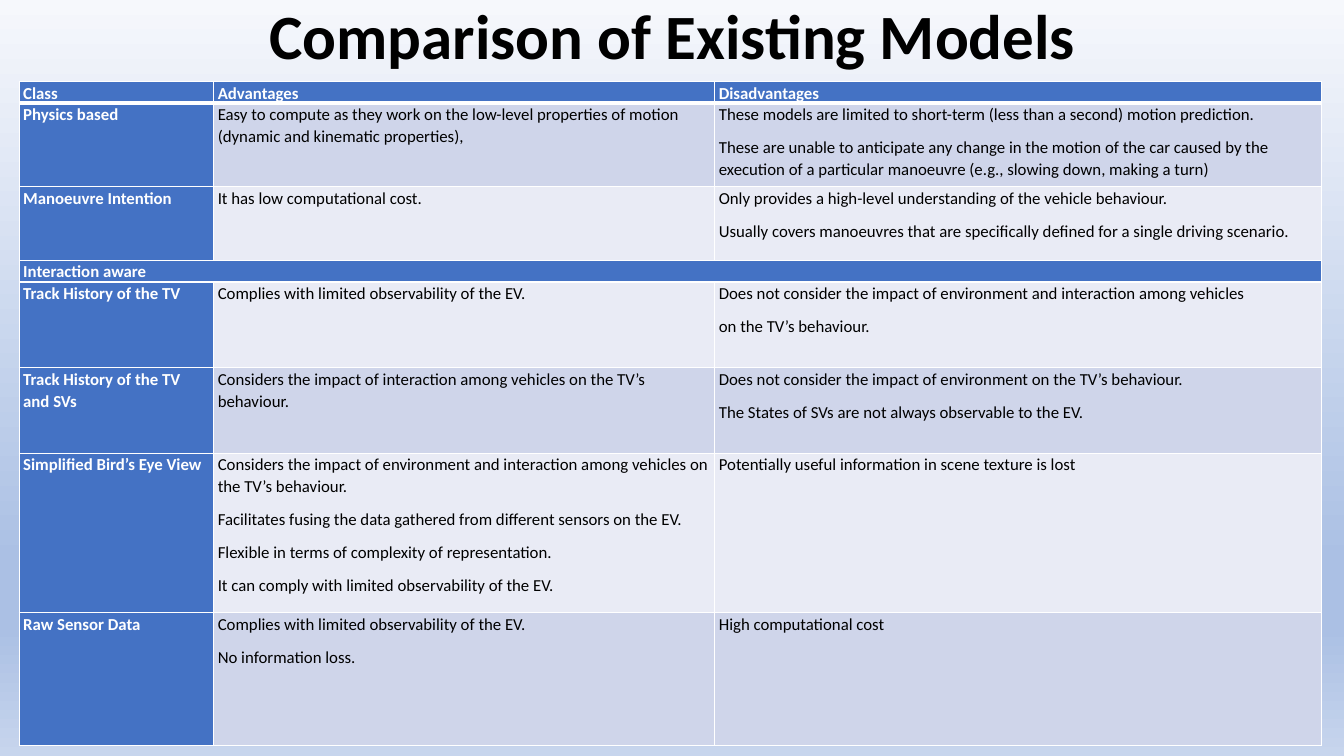
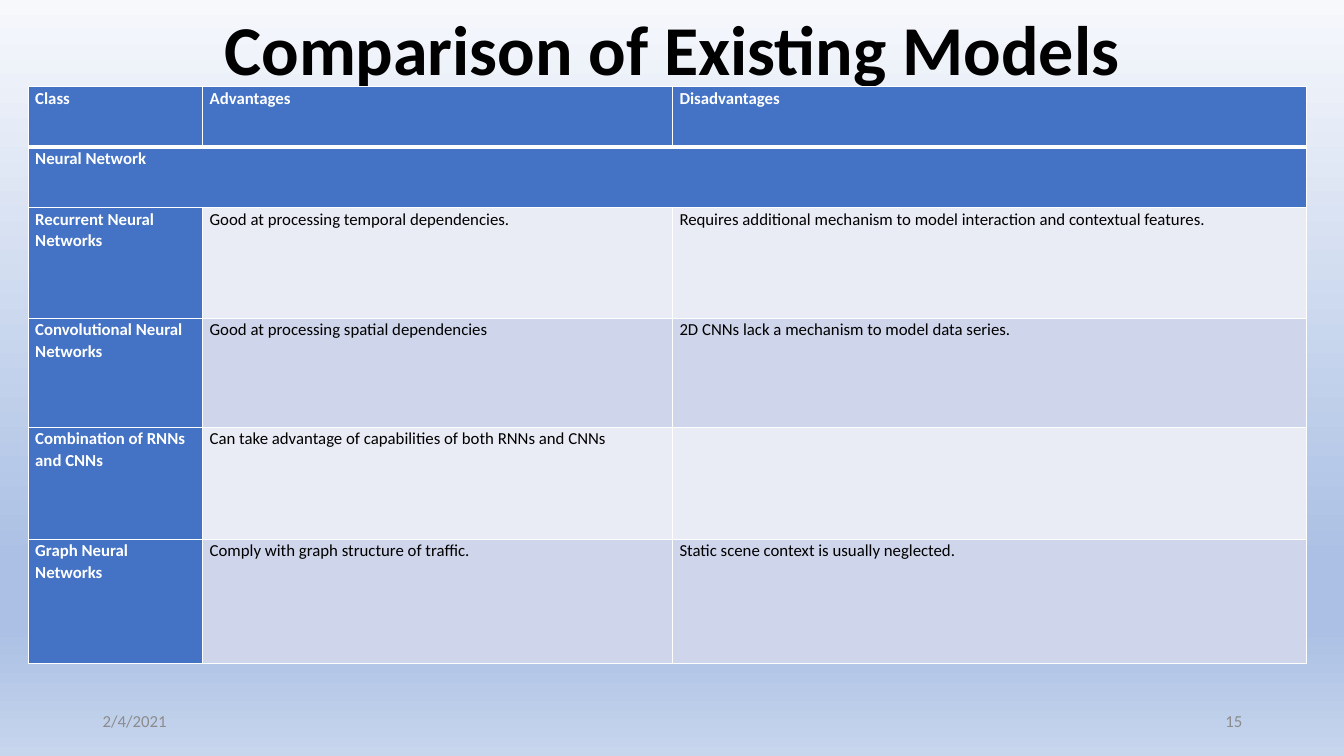
"""Build two slides that compare existing motion prediction models."""
from copy import deepcopy

from lxml import etree
from pptx import Presentation
from pptx.dml.color import RGBColor
from pptx.enum.text import MSO_ANCHOR, PP_ALIGN
from pptx.oxml.ns import qn
from pptx.util import Inches, Pt

FONT = "Calibri"
HUES = {"head": "4472C4", "dark": "CFD5EA", "pale": "E9EBF5",
        "white": "FFFFFF", "black": "000000", "grey": "8C8C8C"}
STOPS = [(0, "F6F8FC"), (0.74, "ABC0E4"), (0.83, "ABC0E4"), (1, "C7D5ED")]
TITLE = "Comparison of Existing Models"
HEADS = ("Class", ["Advantages"], ["Disadvantages"])

SLIDES = [
    {
        "title": {"size": 45, "high": 0.78},
        "at": (0.19, 0.81),
        "inset": 0.04,
        "cols": (1.93, 4.97, 6.02),
        "highs": (0.2, 0.83, 0.73, 0.2, 0.85, 0.85, 1.58, 1.32),
        "rows": [
            HEADS,
            ("Physics based",
             ["Easy to compute as they work on the low-level properties of motion "
              "(dynamic and kinematic properties),"],
             ["These models are limited to short-term (less than a second) motion prediction.",
              "These are unable to anticipate any change in the motion of the car caused by the "
              "execution of a particular manoeuvre (e.g., slowing down, making a turn)"]),
            ("Manoeuvre Intention",
             ["It has low computational cost."],
             ["Only provides a high-level understanding of the vehicle behaviour.",
              "Usually covers manoeuvres that are specifically defined for a single "
              "driving scenario."]),
            ("Interaction aware",),
            ("Track History of the TV",
             ["Complies with limited observability of the EV."],
             ["Does not consider the impact of environment and interaction among vehicles",
              "on the TV’s behaviour."]),
            ("Track History of the TV and SVs",
             ["Considers the impact of interaction among vehicles on the TV’s behaviour."],
             ["Does not consider the impact of environment on the TV’s behaviour.",
              "The States of SVs are not always observable to the EV."]),
            ("Simplified Bird’s Eye View",
             ["Considers the impact of environment and interaction among vehicles on "
              "the TV’s behaviour.",
              "Facilitates fusing the data gathered from different sensors on the EV.",
              "Flexible in terms of complexity of representation.",
              "It can comply with limited observability of the EV."],
             ["Potentially useful information in scene texture is lost"]),
            ("Raw Sensor Data",
             ["Complies with limited observability of the EV.", "No information loss."],
             ["High computational cost"]),
        ],
    },
    {
        "title": {"size": 50, "high": 1.05},
        "at": (0.28, 0.86),
        "inset": 0.07,
        "cols": (1.73, 4.66, 6.29),
        "highs": (0.6, 0.6, 1.1, 1.08, 1.11, 1.23),
        "rows": [
            HEADS,
            ("Neural Network",),
            ("Recurrent Neural Networks",
             ["Good at processing temporal dependencies."],
             ["Requires additional mechanism to model interaction and contextual features."]),
            ("Convolutional Neural Networks",
             ["Good at processing spatial dependencies"],
             ["2D CNNs lack a mechanism to model data series."]),
            ("Combination of RNNs and CNNs",
             ["Can take advantage of capabilities of both RNNs and CNNs"],
             []),
            ("Graph Neural Networks",
             ["Comply with graph structure of traffic."],
             ["Static scene context is usually neglected."]),
        ],
        "foot": [("2/4/2021", 0.92, PP_ALIGN.LEFT), ("15", 9.42, PP_ALIGN.RIGHT)],
    },
]


def rgb(hue):
    return RGBColor.from_string(HUES.get(hue, hue))


def apply(item, form):
    for name, value in form.items():
        setattr(item, name, value)


def write(frame, lines, size, hue, bold, form):
    for i, line in enumerate(lines):
        par = frame.paragraphs[0] if i == 0 else frame.add_paragraph()
        apply(par, form)
        run = par.add_run()
        run.text = line
        apply(run.font, {"name": FONT, "size": Pt(size), "bold": bold})
        run.font.color.rgb = rgb(hue)


def add_text(slide, box, line, size, hue, bold, form):
    frame = slide.shapes.add_textbox(*map(Inches, box)).text_frame
    apply(frame, {"word_wrap": True, "vertical_anchor": MSO_ANCHOR.MIDDLE})
    write(frame, [line], size, hue, bold, form)


def paint(master):
    fill = master.background.fill
    fill.gradient()
    fill.gradient_angle = 270
    group = master.element.find(".//" + qn("p:bg")).find(".//" + qn("a:gsLst"))
    for _ in STOPS[2:]:
        group.append(deepcopy(group[0]))
    for stop, (place, hue) in zip(fill.gradient_stops, STOPS):
        stop.position = place
        stop.color.rgb = rgb(hue)


def edge(cell, row):
    props = cell._tc.get_or_add_tcPr()
    wide = {"T": 3 if row == 1 else 1, "B": 3 if row == 0 else 1}
    for i, side in enumerate("LRTB"):
        line = etree.Element(qn("a:ln" + side), w=str(Pt(wide.get(side, 1))))
        fill = etree.SubElement(line, qn("a:solidFill"))
        etree.SubElement(fill, qn("a:srgbClr"), val=HUES["white"])
        props.insert(i, line)


def add_grid(slide, data):
    cols, highs, rows = data["cols"], data["highs"], data["rows"]
    box = (*data["at"], sum(cols), sum(highs))
    grid = slide.shapes.add_table(len(rows), len(cols), *map(Inches, box)).table
    for col, wide in zip(grid.columns, cols):
        col.width = Inches(wide)
    for row, high in zip(grid.rows, highs):
        row.height = Inches(high)
    side = Inches(data["inset"])
    form = {"margin_left": side, "margin_right": side, "margin_top": 0, "margin_bottom": 0}
    for r, (name, *rest) in enumerate(rows):
        if not rest:
            grid.cell(r, 0).merge(grid.cell(r, len(cols) - 1))
        parts = [[name], *(rest or [[], []])]
        for c, lines in enumerate(parts):
            cell = grid.cell(r, c)
            head = r == 0 or c == 0 or not rest
            apply(cell, form)
            cell.fill.solid()
            cell.fill.fore_color.rgb = rgb("head" if head else ("pale", "dark")[r % 2])
            edge(cell, r)
            write(cell.text_frame, lines, 12, "white" if head else "black", head,
                  {"line_spacing": 1.07, "space_after": Pt(8)})


def main():
    deck = Presentation()
    apply(deck, {"slide_width": Inches(13.33), "slide_height": Inches(7.5)})
    paint(deck.slide_master)
    for data in SLIDES:
        slide = deck.slides.add_slide(deck.slide_layouts[6])
        title = data["title"]
        add_text(slide, (0.92, 0, 11.5, title["high"]), TITLE, title["size"], "black", True,
                 {"alignment": PP_ALIGN.CENTER, "line_spacing": 0.9})
        for line, left, align in data.get("foot", []):
            add_text(slide, (left, 6.95, 3, 0.4), line, 12, "grey", False, {"alignment": align})
        add_grid(slide, data)
    deck.save("out.pptx")


if __name__ == "__main__":
    main()
